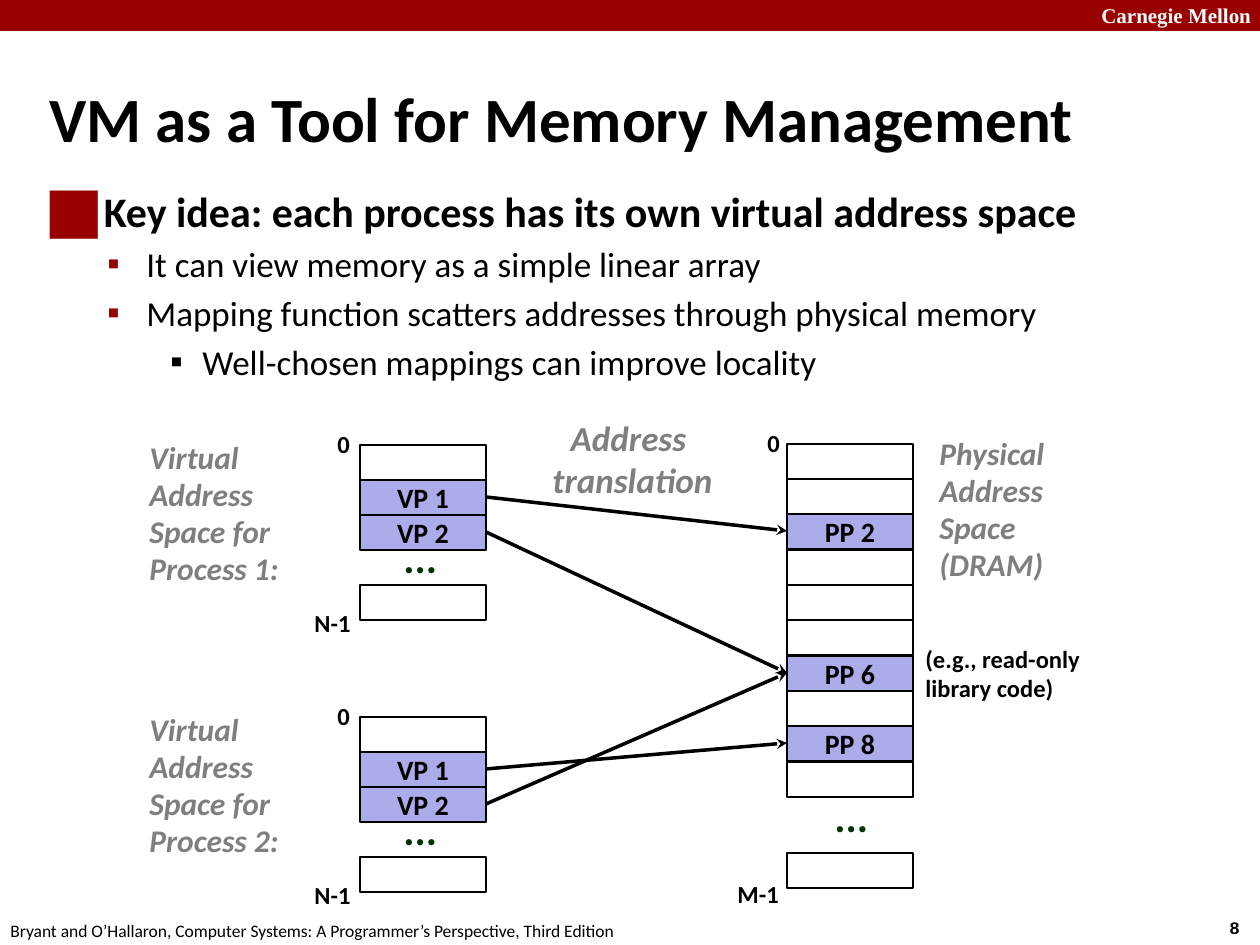
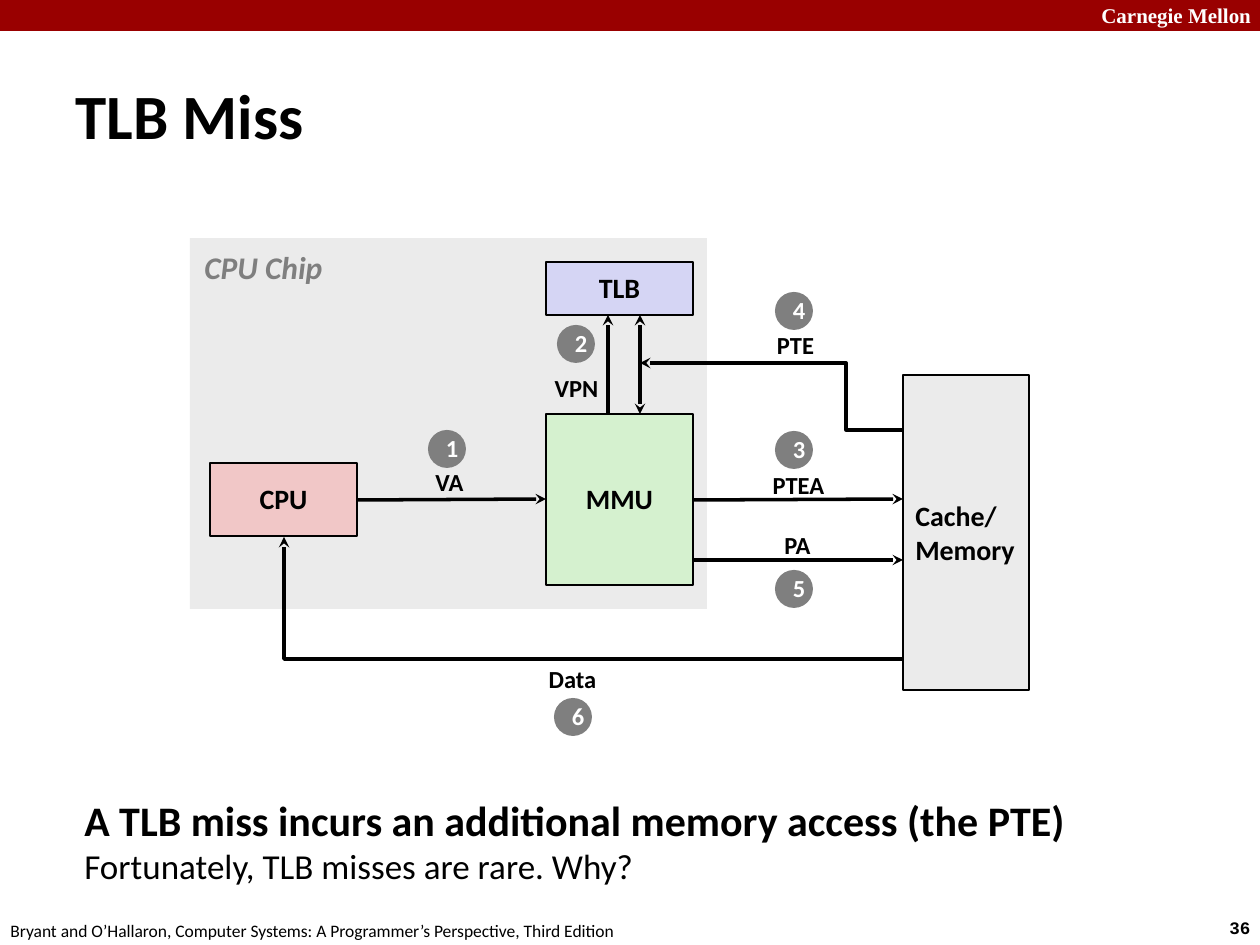
import pptx
import pptx.dml.color
import pptx.enum.shapes
import pptx.enum.text
import pptx.oxml.ns
import pptx.util
from lxml import etree

PX = 914400 // 126
SHAPES = pptx.enum.shapes.MSO_SHAPE
CONNECTORS = pptx.enum.shapes.MSO_CONNECTOR
MIDDLE = pptx.enum.text.MSO_ANCHOR.MIDDLE
TOP = pptx.enum.text.MSO_ANCHOR.TOP
CENTER = pptx.enum.text.PP_ALIGN.CENTER
LEFT = pptx.enum.text.PP_ALIGN.LEFT

RED, BLACK, WHITE, GRAY = "990000", "000000", "FFFFFF", "7F7F7F"
MAPPED, PALE = "ACACEA", "EBEBEB"
BODY_FONT = "Calibri"

STYLES = {
    "brand": dict(name="Times New Roman", size=12, bold=True, color=WHITE),
    "number": dict(name="Courier New", size=10, bold=True),
    "footer": dict(size=10),
    "title": dict(size=36, bold=True),
    "key": dict(size=24, bold=True),
    "detail": dict(size=20),
    "caption": dict(size=18, bold=True, italic=True, color=GRAY),
    "heading": dict(size=20, bold=True, italic=True, color=GRAY),
    "label": dict(size=14, bold=True),
    "box": dict(size=16, bold=True),
    "step": dict(size=14, bold=True, color=WHITE),
    "dots": dict(size=24, bold=True, color="003300"),
}

BRAND = "Carnegie Mellon"
FOOTER = "Bryant and O’Hallaron, Computer Systems: A Programmer’s Perspective, Third Edition"

KEY_IDEA = [
    ("Key idea: each process has its own virtual address space", "key", "■", 150, RED, 0, 48, 48),
    ("It can view memory as a simple linear array", "detail", "▪", 100, RED, 1, 102, 39),
    ("Mapping function scatters addresses through physical memory", "detail", "▪", 100, RED, 1, 102, 39),
    ("Well-chosen mappings can improve locality", "detail", "▪", 100, BLACK, 2, 158, 32),
]

CELL_WIDTH, CELL_HEIGHT = 126, 35
VIRTUAL_LEFT, PHYSICAL_LEFT, PHYSICAL_TOP = 360, 787, 444
PHYSICAL_LAST_TOP, PHYSICAL_ROWS, PHYSICAL_SPAN = 853, 10, 318
VIRTUAL_PAGES = {0: "", 1: "VP 1", 2: "VP 2", 4: ""}
PHYSICAL_PAGES = {2: "PP 2", 6: "PP 6", 8: "PP 8"}
PROCESSES = [
    ("Virtual Address Space for Process 1:", 445, {1: 2, 2: 6}),
    ("Virtual Address Space for Process 2:", 717, {2: 6, 1: 8}),
]
PHYSICAL_LABELS = [
    (["Physical", "Address", "Space (DRAM)"], (927, 430, 147, 163), "caption", True),
    (["(e.g., read-only", "library code)"], (913, 639, 200, 71), "label", False),
    (["0"], (755, 423, 39, 42), "label", False),
    (["M-1"], (725, 874, 67, 42), "label", False),
]

CHIP = (190, 238, 517, 371)
UNITS = [
    (["TLB"], (546, 262, 147, 53), "D5D5F4", 1),
    (["MMU"], (546, 414, 147, 171), "D5F1CF", 1),
    (["CPU"], (210, 463, 147, 73), "F1C7C7", 1),
    (["Cache/", "Memory"], (903, 375, 126, 315), PALE, 1.5),
]
STEPS = [
    ("1", "VA", (428, 430), (421, 462, 57)),
    ("2", "VPN", (557, 325), (542, 368, 69)),
    ("3", "PTEA", (775, 431), (760, 465, 77)),
    ("4", "PTE", (775, 292), (764, 325, 63)),
    ("5", "PA", (775, 570), (769, 525, 57)),
    ("6", "Data", (554, 698), (536, 659, 73)),
]
STEP_SIZE = 38
SIGNALS = [
    ((357, 500), (546, 499), False),
    ((608, 414), (608, 315), False),
    ((640, 315), (640, 414), True),
    ((693, 500), (903, 499), False),
    ((693, 560), (903, 560), False),
]
RETURNS = [
    ((903, 659), (284, 537), "bentConnector2", None),
    ((903, 430), (640, 363), "bentConnector3", 21600),
]
TAKEAWAY = [
    ("A TLB miss incurs an additional memory access (the PTE)", "key"),
    ("Fortunately, TLB misses are rare. Why?", "detail"),
]


def rgb(color):
    return pptx.dml.color.RGBColor.from_string(color)


def scaled(lengths):
    return [length * PX for length in lengths]


def add_xml(parent, tag, **attributes):
    return etree.SubElement(parent, pptx.oxml.ns.qn(tag), attributes)


def style_run(run, style):
    form = {"name": BODY_FONT, "bold": False, "color": BLACK, **STYLES[style]}
    run.font.color.rgb = rgb(form.pop("color"))
    form["size"] = pptx.util.Pt(form["size"])
    for attribute, value in form.items():
        setattr(run.font, attribute, value)


def write(shape, lines, wrap=True, anchor=TOP, align=LEFT, spacing=None):
    frame = shape.text_frame
    frame.word_wrap, frame.vertical_anchor = wrap, anchor
    paragraphs = []
    for index, (line, style) in enumerate(lines):
        paragraph = frame.add_paragraph() if index else frame.paragraphs[0]
        paragraph.alignment = align
        if spacing:
            paragraph.line_spacing = spacing
        run = paragraph.add_run()
        run.text = line
        style_run(run, style)
        paragraphs.append(paragraph)
    return paragraphs


def indent(paragraph, left, hanging):
    properties = paragraph._p.get_or_add_pPr()
    properties.set("marL", str(left * PX))
    properties.set("indent", str(-hanging * PX))
    return properties


def add_text(slide, box, lines, **layout):
    return write(slide.shapes.add_textbox(*scaled(box)), lines, **layout)


def add_block(slide, box, fill=None, line=None, kind=SHAPES.RECTANGLE):
    block = slide.shapes.add_shape(kind, *scaled(box))
    block.shadow.inherit = False
    if fill:
        block.fill.solid()
        block.fill.fore_color.rgb = rgb(fill)
    else:
        block.fill.background()
    if line:
        block.line.color.rgb = rgb(BLACK)
        block.line.width = pptx.util.Pt(line)
    else:
        block.line.fill.background()
    return block


def add_arrow(slide, start, end, both=False, kind=CONNECTORS.STRAIGHT):
    arrow = slide.shapes.add_connector(kind, *scaled(start + end))
    arrow.line.color.rgb = rgb(BLACK)
    arrow.line.width = pptx.util.Pt(2)
    properties = arrow._element.spPr
    outline = properties.find(pptx.oxml.ns.qn("a:ln"))
    for tag in ["a:headEnd", "a:tailEnd"] if both else ["a:tailEnd"]:
        add_xml(outline, tag, type="stealth")
    add_xml(properties, "a:effectLst")
    return properties


def add_return(slide, start, end, preset, bend):
    properties = add_arrow(slide, end, start, kind=CONNECTORS.ELBOW)
    properties.find(pptx.oxml.ns.qn("a:xfrm")).set("rot", "10800000")
    geometry = properties.find(pptx.oxml.ns.qn("a:prstGeom"))
    geometry.set("prst", preset)
    if bend:
        adjustments = geometry.find(pptx.oxml.ns.qn("a:avLst"))
        add_xml(adjustments, "a:gd", name="adj1", fmla=f"val {bend}")


def add_page(deck, title, title_box, number):
    slide = deck.slides.add_slide(deck.slide_layouts[6])
    add_block(slide, (0, 0, 1260, 31), RED)
    add_text(slide, (1089, -4, 180, 38), [(BRAND, "brand")], wrap=False)
    add_text(slide, (1217, 911, 57, 34), [(number, "number")], wrap=False)
    add_text(slide, (-2, 914, 640, 34), [(FOOTER, "footer")], wrap=False)
    heading = add_text(slide, title_box, [(title, "title")], anchor=MIDDLE)
    indent(heading[0], 16, 16)
    return slide


def add_key_idea(slide):
    lines = [(text, style) for text, style, *_ in KEY_IDEA]
    paragraphs = add_text(slide, (32, 179, 1082, 174), lines)
    for paragraph, point in zip(paragraphs, KEY_IDEA):
        _, _, bullet, percent, color, level, left, hanging = point
        paragraph.level = level
        if level:
            paragraph.space_before = pptx.util.Pt(4)
        properties = indent(paragraph, left, hanging)
        add_xml(add_xml(properties, "a:buClr"), "a:srgbClr", val=color)
        add_xml(properties, "a:buSzPct", val=str(percent * 1000))
        add_xml(properties, "a:buFont", typeface=BODY_FONT)
        add_xml(properties, "a:buChar", char=bullet)


def add_cell(slide, left, top, page):
    box = (left, top, CELL_WIDTH, CELL_HEIGHT)
    cell = add_block(slide, box, MAPPED if page else None, 1)
    if page:
        write(cell, [(page, "box")], anchor=MIDDLE, align=CENTER)


def add_dots(slide, left, top):
    add_text(slide, (left, top, 59, 57), [("...", "dots")], wrap=False, spacing=0.88)


def physical_top(row):
    return PHYSICAL_TOP + PHYSICAL_SPAN * row // (PHYSICAL_ROWS - 1)


def build_memory_slide(deck):
    slide = add_page(deck, "VM as a Tool for Memory Management", (37, 78, 1187, 79), "8")
    add_key_idea(slide)
    for row in range(PHYSICAL_ROWS):
        add_cell(slide, PHYSICAL_LEFT, physical_top(row), PHYSICAL_PAGES.get(row))
    add_cell(slide, PHYSICAL_LEFT, PHYSICAL_LAST_TOP, "")
    add_dots(slide, 822, 791)
    for lines, box, style, wrap in PHYSICAL_LABELS:
        add_text(slide, box, [(line, style) for line in lines], wrap=wrap, spacing=0.98)
    middle = CELL_HEIGHT // 2
    for caption, top, mapping in PROCESSES:
        add_text(slide, (137, top - 11, 189, 161), [(caption, "caption")], spacing=0.98)
        add_text(slide, (325, top - 21, 39, 42), [("0", "label")], wrap=False, spacing=0.98)
        add_text(slide, (302, top + 158, 62, 42), [("N-1", "label")], wrap=False, spacing=0.98)
        for row, page in VIRTUAL_PAGES.items():
            add_cell(slide, VIRTUAL_LEFT, top + row * CELL_HEIGHT, page)
        add_dots(slide, 391, top + 87)
        for row, target in mapping.items():
            start = (VIRTUAL_LEFT + CELL_WIDTH, top + row * CELL_HEIGHT + middle)
            add_arrow(slide, start, (PHYSICAL_LEFT, physical_top(target) + middle))
    heading = [("Address ", "heading"), ("translation", "heading")]
    add_text(slide, (539, 410, 187, 97), heading, wrap=False, align=CENTER)


def build_miss_slide(deck):
    slide = add_page(deck, "TLB Miss", (63, 60, 1201, 108), "36")
    add_block(slide, CHIP, PALE)
    add_text(slide, (192, 242, 146, 50), [("CPU Chip", "caption")], wrap=False)
    for lines, box, fill, line in UNITS:
        layout = dict(align=LEFT) if len(lines) > 1 else dict(align=CENTER, spacing=0.98)
        unit = add_block(slide, box, fill, line)
        write(unit, [(text, "box") for text in lines], anchor=MIDDLE, **layout)
    for start, end, both in SIGNALS:
        add_arrow(slide, start, end, both)
    for route in RETURNS:
        add_return(slide, *route)
    centered = dict(anchor=MIDDLE, align=CENTER, spacing=0.98)
    for number, label, corner, (left, top, width) in STEPS:
        badge = add_block(slide, corner + (STEP_SIZE, STEP_SIZE), GRAY, kind=SHAPES.OVAL)
        write(badge, [(number, "step")], **centered)
        add_text(slide, (left, top, width, 42), [(label, "label")], wrap=False, **centered)
    add_text(slide, (72, 788, 1062, 126), TAKEAWAY)


def main():
    deck = pptx.Presentation()
    deck.slide_width, deck.slide_height = scaled((1260, 945))
    build_memory_slide(deck)
    build_miss_slide(deck)
    deck.save("out.pptx")


if __name__ == "__main__":
    main()
